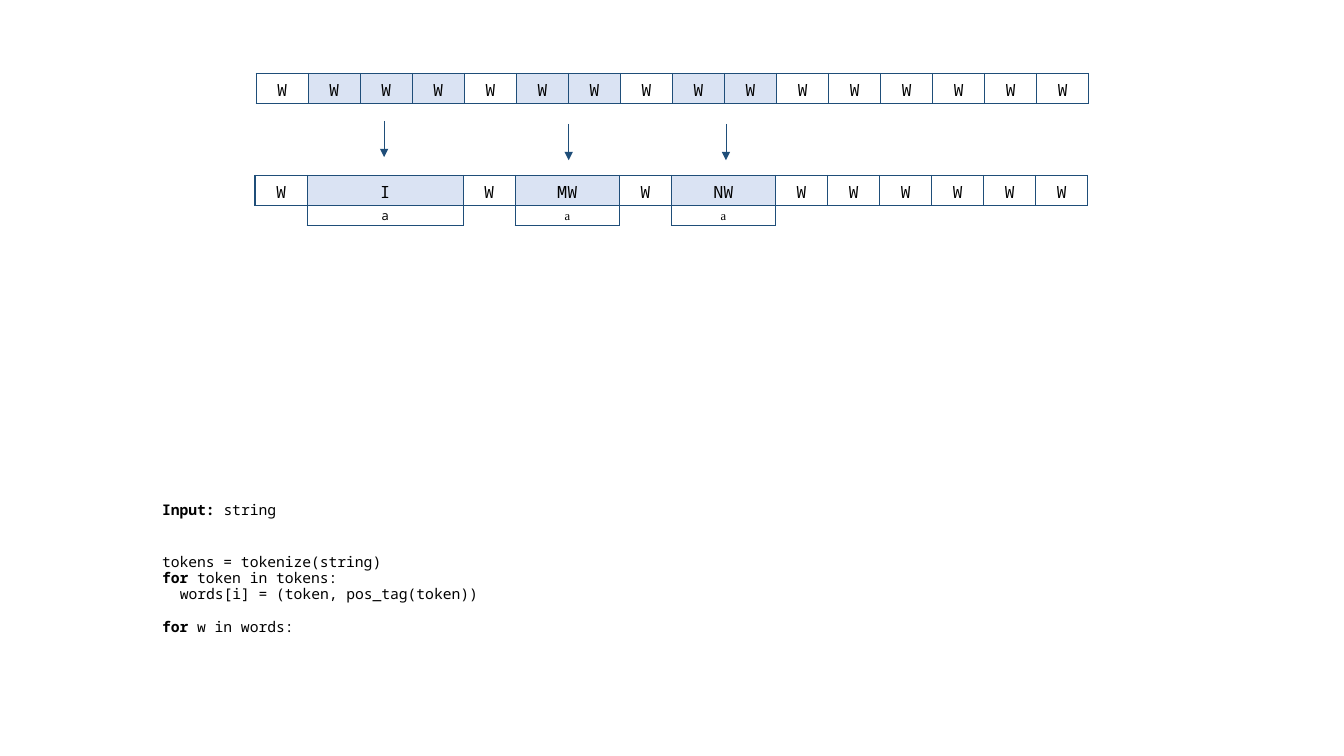
from lxml import etree
from pptx import Presentation
from pptx.dml.color import RGBColor
from pptx.enum.shapes import MSO_CONNECTOR
from pptx.enum.text import MSO_ANCHOR, PP_ALIGN
from pptx.oxml.ns import qn
from pptx.util import Inches, Pt

# Merged tokens: label, number of words covered, font of the tag below
MERGED = [
    ("W", 1, None), ("I", 3, "Noto Sans Mono"), ("W", 1, None),
    ("MW", 2, "Times New Roman"), ("W", 1, None), ("NW", 2, "Times New Roman"),
] + [("W", 1, None)] * 6
TAG = "a"
ARROWS = [(3.81, 1.20), (5.64, 1.23), (7.20, 1.23)]  # x, top
ARROW_LENGTH = 0.36

# Pseudocode: bold part, plain part, indent in characters, empty lines before
CODE = [
    ("Input: ", "string", 0, 0),
    ("", "tokens = tokenize(string)", 0, 2),
    ("for ", "token in tokens:", 0, 0),
    ("", "words[i] = (token, pos_tag(token))", 2, 0),
    ("for", " w in words:", 0, 1),
]

THEME = {
    "mono": "Noto Sans Mono", "text": "000000", "line": "1F4E79", "fill": "DAE3F3",
    "cell_size": 12, "tag_size": 9, "code_size": 10.5, "border": 1, "arrow": 0.5,
}
WORD_WIDTH = 8.26 / 16
WORD_HEIGHT, TAG_HEIGHT = 0.28, 0.2
CODE_SPACING = 0.9
CODE_LINE = 12.8           # points from one line to the next
CODE_CHAR = 0.6 * THEME["code_size"]


def style_run(run, size, font=THEME["mono"], bold=False):
    """Give a run its font, size and colour."""
    run.font.name, run.font.size, run.font.bold = font, Pt(size), bold
    run.font.color.rgb = RGBColor.from_string(THEME["text"])


def set_borders(cell, edges):
    """Draw the named edges (L, R, T, B) of a cell and clear the others."""
    properties = cell._tc.get_or_add_tcPr()
    for edge in "LRTB":
        line = etree.SubElement(properties, qn(f"a:ln{edge}"), w=str(Pt(THEME["border"])))
        if edge in edges:
            fill = etree.SubElement(line, qn("a:solidFill"))
            etree.SubElement(fill, qn("a:srgbClr"), val=THEME["line"])
        else:
            etree.SubElement(line, qn("a:noFill"))


def fill_cell(cell, text, size, font=THEME["mono"], edges="LRTB", shaded=False, tight=False):
    """Write and style one table cell."""
    set_borders(cell, edges)
    if shaded:
        cell.fill.solid()
        cell.fill.fore_color.rgb = RGBColor.from_string(THEME["fill"])
    else:
        cell.fill.background()
    cell.vertical_anchor = MSO_ANCHOR.MIDDLE
    if tight:
        cell.margin_left = cell.margin_right = cell.margin_top = cell.margin_bottom = 0
    paragraph = cell.text_frame.paragraphs[0]
    paragraph.alignment = PP_ALIGN.CENTER
    if text:
        run = paragraph.add_run()
        run.text = text
        style_run(run, size, font)
    else:
        etree.SubElement(paragraph._p, qn("a:endParaRPr"), sz=str(size * 100))


def add_grid(slide, left, top, spans, heights):
    """Add an unstyled table whose columns cover the given numbers of words."""
    table = slide.shapes.add_table(
        len(heights), len(spans), Inches(left), Inches(top),
        Inches(sum(spans) * WORD_WIDTH), Inches(sum(heights))).table
    table.first_row = table.horz_banding = False
    for column, span in zip(table.columns, spans):
        column.width = Inches(span * WORD_WIDTH)
    for row, height in zip(table.rows, heights):
        row.height = Inches(height)
    return table


def add_word_row(slide):
    """Add the row of single words, shading those that get merged."""
    shades = [span > 1 for _, span, _ in MERGED for _ in range(span)]
    table = add_grid(slide, 2.54, 0.73, [1] * len(shades), [WORD_HEIGHT])
    for column, shaded in enumerate(shades):
        fill_cell(table.cell(0, column), "W", THEME["cell_size"], shaded=shaded)


def add_merged_row(slide):
    """Add the merged tokens with the tags below them."""
    spans = [span for _, span, _ in MERGED]
    table = add_grid(slide, 2.53, 1.74, spans, [WORD_HEIGHT, TAG_HEIGHT])
    tagged = [False] + [span > 1 for span in spans] + [False]
    for column, (label, span, font) in enumerate(MERGED):
        fill_cell(table.cell(0, column), label, THEME["cell_size"], shaded=span > 1)
        if font:
            edges = "LRTB"
        else:
            edges = "T" + "L" * tagged[column] + "R" * tagged[column + 2]
        fill_cell(table.cell(1, column), TAG if font else "", THEME["tag_size"],
                  font, edges, tight=True)


def add_arrow(slide, x, top):
    """Add an arrow pointing down from the words to a merged token."""
    arrow = slide.shapes.add_connector(
        MSO_CONNECTOR.STRAIGHT, Inches(x), Inches(top), Inches(x), Inches(top + ARROW_LENGTH))
    arrow.line.color.rgb = RGBColor.from_string(THEME["line"])
    arrow.line.width = Pt(THEME["arrow"])
    etree.SubElement(arrow.line._get_or_add_ln(), qn("a:tailEnd"), type="triangle")
    etree.SubElement(arrow._element.spPr, qn("a:effectLst"))


def add_code(slide):
    """Add the pseudocode with bold keywords."""
    frame = slide.shapes.add_textbox(
        Inches(1.51), Inches(4.94), Inches(9.3), Inches(1.96)).text_frame
    frame.word_wrap = True
    for number, (keyword, rest, indent, gap) in enumerate(CODE):
        paragraph = frame.add_paragraph() if number else frame.paragraphs[0]
        paragraph.line_spacing = CODE_SPACING
        paragraph.space_before = Pt(gap * CODE_LINE)
        paragraph._p.get_or_add_pPr().set("marL", str(Pt(indent * CODE_CHAR)))
        for text, bold in ((keyword, True), (rest, False)):
            if text:
                run = paragraph.add_run()
                run.text = text
                style_run(run, THEME["code_size"], bold=bold)


presentation = Presentation()
presentation.slide_width, presentation.slide_height = Inches(13.33), Inches(7.5)
slide = presentation.slides.add_slide(presentation.slide_layouts[6])
add_code(slide)
add_word_row(slide)
add_merged_row(slide)
for x, top in ARROWS:
    add_arrow(slide, x, top)
presentation.save("out.pptx")
